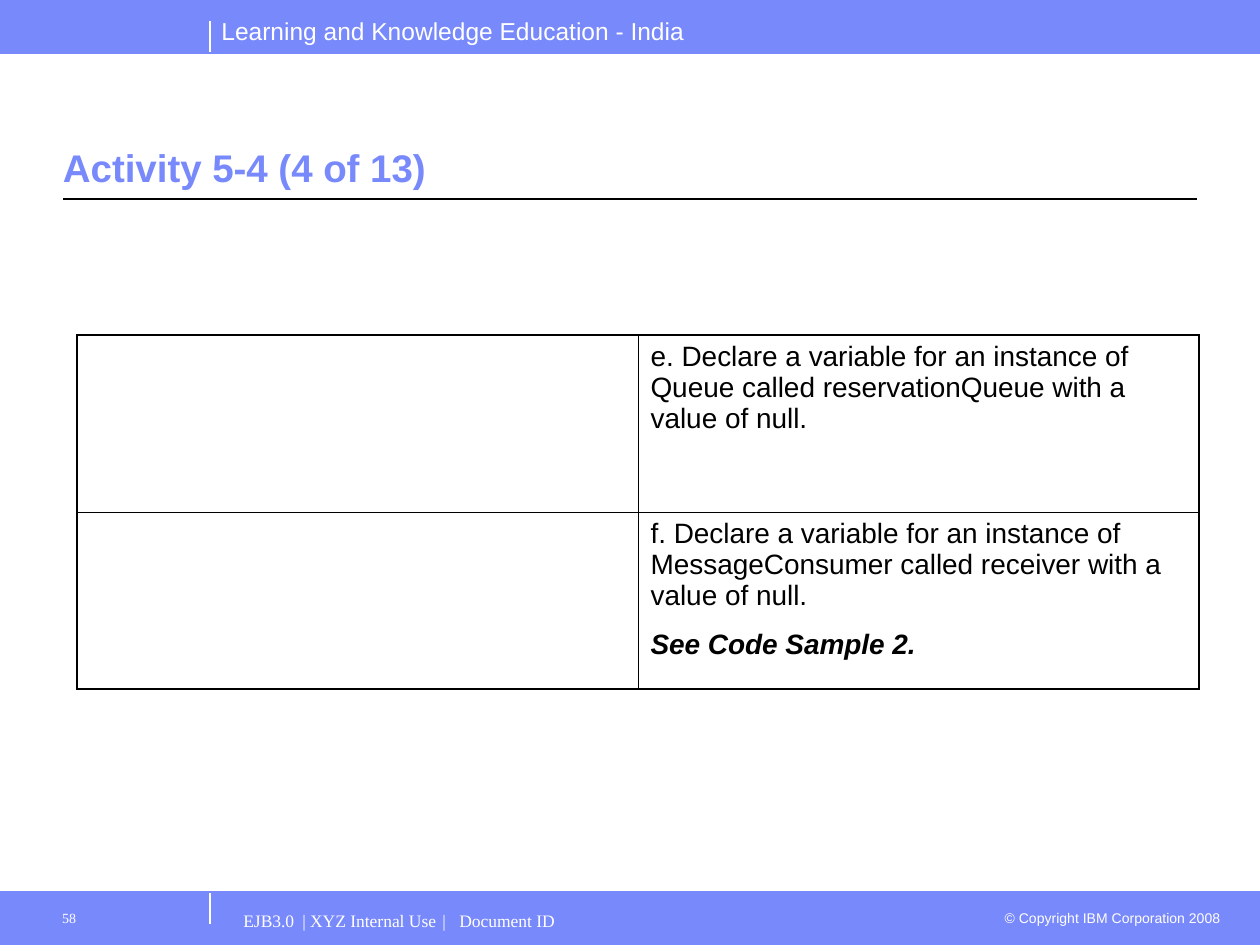
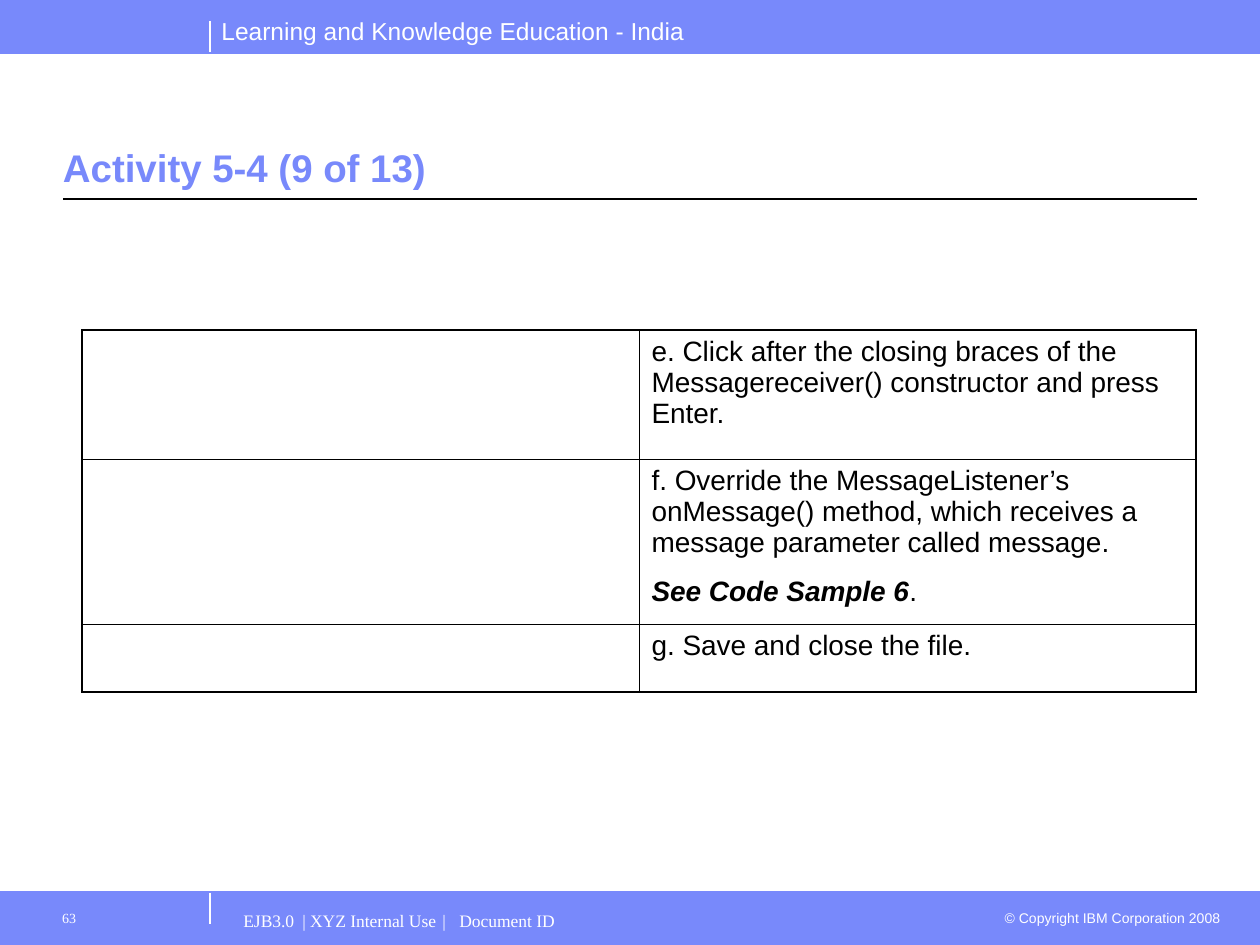
"""Build two activity slides with shared bands, title style and step tables."""
from lxml import etree
from pptx import Presentation
from pptx import util as u
from pptx.dml.color import RGBColor
from pptx.enum import shapes, text
from pptx.oxml import ns

COLORS = {"band": "7889FB", "light": "FFFFFF", "ink": "000000"}
SANS, SERIF = "Arial", "Times New Roman"
W, H, BAND_H = 1260, 945, 53
STEP = {"name": SANS, "size": u.Pt(16)}
SAMPLE = {**STEP, "bold": True, "italic": True}
THICK, THIN = 1.08, 0.45


def px(n):
    """Turn pixels into EMU."""
    return u.Emu(round(n * 914400 / 126))


def rgb(key):
    """Look up a named colour."""
    return RGBColor.from_string(COLORS[key])


def add_run(p, words, color, style):
    """Add a styled run to a paragraph."""
    r = p.add_run()
    r.text = words
    r.font.color.rgb = rgb(color)
    for name, value in style.items():
        setattr(r.font, name, value)


def add_text(s, box, words, color, style, frame=None, align=text.PP_ALIGN.LEFT, stops=()):
    """Add a one-line text box, with optional tab stops."""
    tf = s.shapes.add_textbox(*map(px, box)).text_frame
    for name, value in {"word_wrap": True, **(frame or {})}.items():
        setattr(tf, name, value)
    p = tf.paragraphs[0]
    p.alignment = align
    if stops:
        tabs = etree.SubElement(p._p.get_or_add_pPr(), ns.qn("a:tabLst"))
        for stop in stops:
            etree.SubElement(tabs, ns.qn("a:tab"), pos=str(px(stop)), algn="l")
    add_run(p, words, color, style)


def add_line(s, start, end, color, width=0.75):
    """Draw a straight line without a shadow."""
    c = s.shapes.add_connector(shapes.MSO_CONNECTOR.STRAIGHT, *map(px, start + end))
    c.line.color.rgb = rgb(color)
    c.line.width = u.Pt(width)
    etree.SubElement(c._element.spPr, ns.qn("a:effectLst"))


def add_band(s, top, edge, tick):
    """Draw a full-width band with its inner edge and a vertical tick."""
    sp = s.shapes.add_shape(shapes.MSO_SHAPE.RECTANGLE, *map(px, (0, top, W, BAND_H)))
    sp.shadow.inherit = False
    sp.fill.solid()
    sp.fill.fore_color.rgb = sp.line.color.rgb = rgb("band")
    sp.line.width = u.Pt(0.75)
    add_line(s, (0, edge), (W, edge), "band", 0.5)
    add_line(s, (210, tick), (210, tick + 31), "light")


def add_header(s):
    """Draw the top band and its heading."""
    add_band(s, 0, BAND_H, 21)
    add_text(s, (209, 10, 488, 43), "Learning and Knowledge Education - India", "light",
             {"name": SANS, "size": u.Pt(14)}, {"word_wrap": False})


def add_footer(s, number):
    """Draw the bottom band with page number, document line and copyright."""
    top = H - BAND_H
    add_band(s, top, top, top + 1)
    add_text(s, (987, top + 11, 246, 30), "© Copyright IBM Corporation 2008", "light",
             {"name": SANS, "size": u.Pt(8)}, align=text.PP_ALIGN.RIGHT)
    add_text(s, (231, top + 9, 756, 44), "EJB3.0\t| XYZ Internal Use\t|\tDocument ID", "light",
             {"name": SERIF, "size": u.Pt(10)}, {"margin_top": px(9)}, stops=(59, 199, 216))
    add_text(s, (42, top + 9, 168, 44), str(number), "light",
             {"name": SERIF, "size": u.Pt(8)}, {"margin_left": px(20), "margin_top": px(9)})


def add_title(s, box, words):
    """Place the title above its rule."""
    x, y, w, h = box
    add_text(s, box, words, "band", {"name": SANS, "size": u.Pt(22), "bold": True},
             {"margin_left": 0, "margin_right": 0,
              "vertical_anchor": text.MSO_ANCHOR.BOTTOM})
    add_line(s, (x, y + h + 3), (x + w, y + h + 3), "ink")


def set_borders(cell, outer):
    """Rule a cell, with thicker lines on the outer sides."""
    tc_pr = cell._tc.get_or_add_tcPr()
    for side in "LRTB":
        width = THICK if side in outer else THIN
        ln = etree.SubElement(tc_pr, ns.qn(f"a:ln{side}"), w=str(u.Pt(width)))
        fill = etree.SubElement(ln, ns.qn("a:solidFill"))
        etree.SubElement(fill, ns.qn("a:srgbClr"), val=COLORS["ink"])


def add_steps(s, left, top, col_w, rows):
    """Add a table with an empty left column and the steps on the right."""
    height = sum(h for h, _ in rows)
    frame = s.shapes.add_table(len(rows), 2, *map(px, (left, top, 2 * col_w, height)))
    table = frame.table
    table.first_row = table.horz_banding = False
    for col in table.columns:
        col.width = px(col_w)
    for i, (row_h, paragraphs) in enumerate(rows):
        table.rows[i].height = px(row_h)
        for j, cell in enumerate(table.rows[i].cells):
            outer = "LR"[j] + "T" * (i == 0) + "B" * (i == len(rows) - 1)
            set_borders(cell, outer)
            cell.fill.background()
        tf = table.cell(i, 1).text_frame
        for k, runs in enumerate(paragraphs):
            p = tf.add_paragraph() if k else tf.paragraphs[0]
            p.space_after = u.Pt(10)
            for words, style in runs:
                add_run(p, words, "ink", style)


def add_activity(prs, number, part, left, top, col_w, rows):
    """Add one activity slide."""
    s = prs.slides.add_slide(prs.slide_layouts[6])
    add_header(s)
    add_title(s, (63, 80, 1134, 116), f"Activity 5-4 ({part} of 13)")
    add_steps(s, left, top, col_w, rows)
    add_footer(s, number)


def main():
    """Build and save the slides."""
    prs = Presentation()
    prs.slide_width, prs.slide_height = px(W), px(H)
    add_activity(prs, 58, 4, 77, 335, 561, [
        (177, [[("e. Declare a variable for an instance of Queue called "
                 "reservationQueue with a value of null.", STEP)]]),
        (177, [[("f. Declare a variable for an instance of MessageConsumer called "
                 "receiver with a value of null.", STEP)],
               [("See Code Sample 2.", SAMPLE)]]),
    ])
    add_activity(prs, 63, 9, 82, 330, 557, [
        (129, [[("e. Click after the closing braces of the Messagereceiver() "
                 "constructor and press Enter.", STEP)]]),
        (165, [[("f. Override the MessageListener’s onMessage() method, which "
                 "receives a message parameter called message.", STEP)],
               [("See Code Sample 6", SAMPLE), (".", STEP)]]),
        (68, [[("g. Save and close the file.", STEP)]]),
    ])
    prs.save("out.pptx")


if __name__ == "__main__":
    main()
